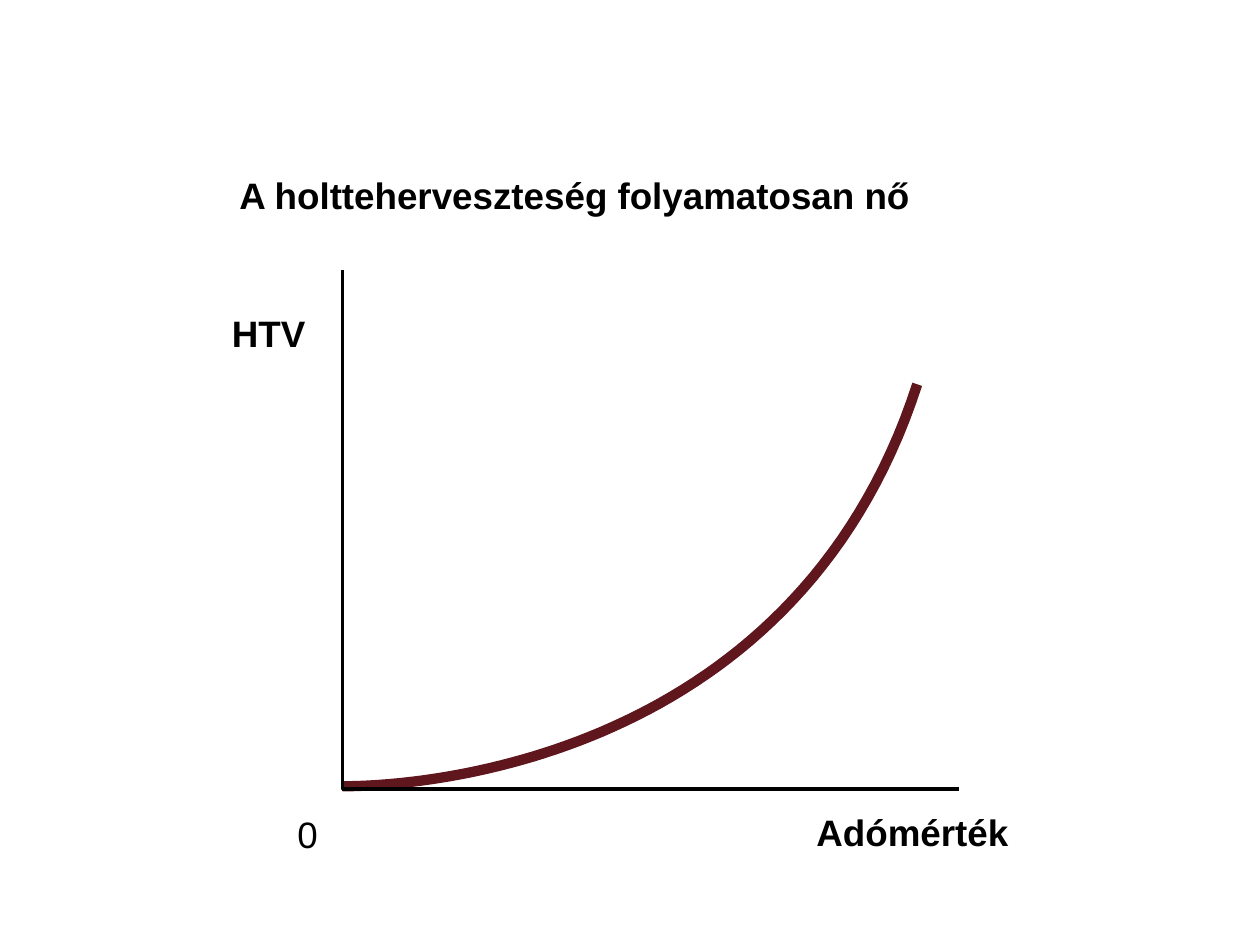
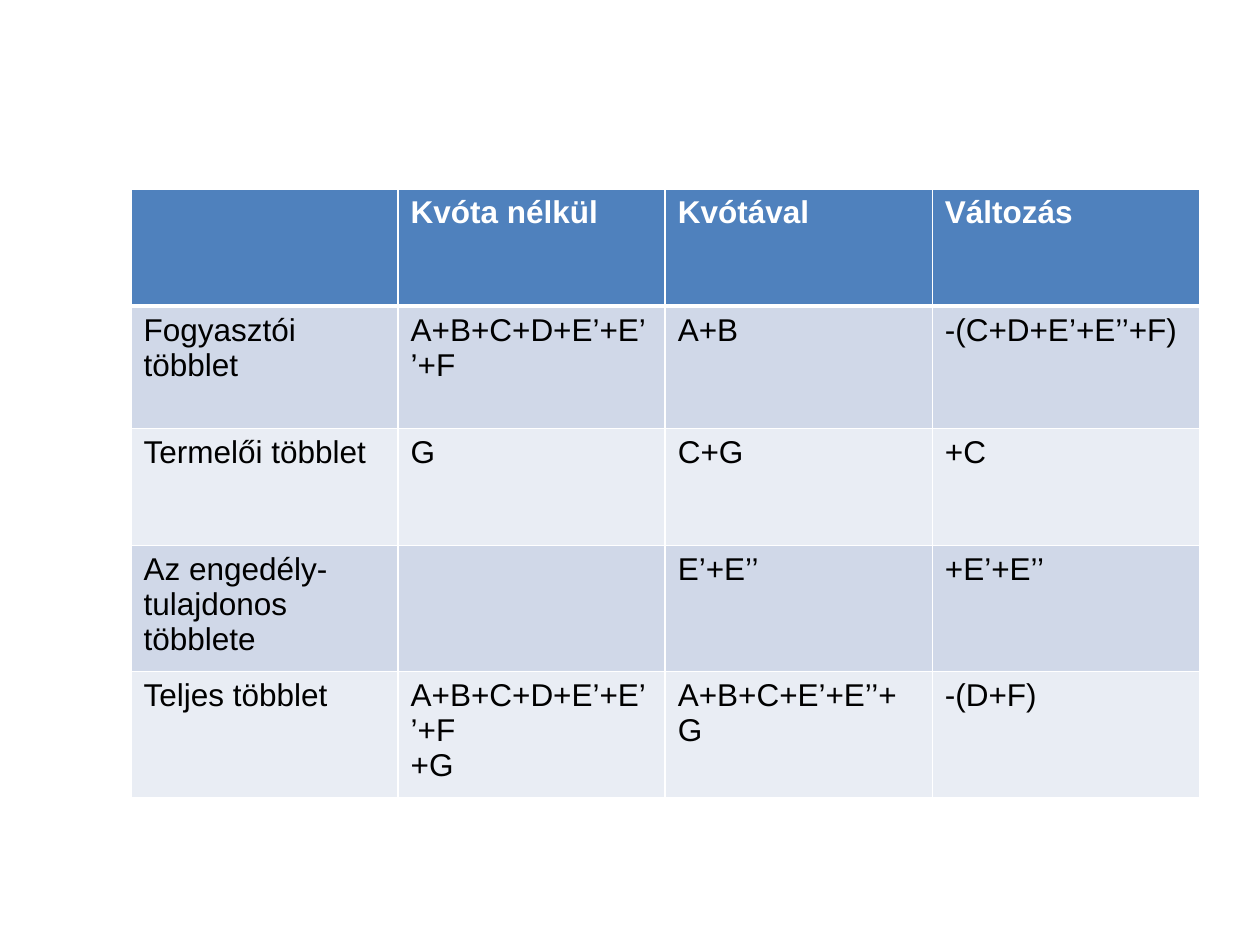
from dataclasses import dataclass

from lxml import etree
from pptx import Presentation
from pptx import util as u
from pptx.dml.color import RGBColor
from pptx.enum import text
from pptx.oxml import ns

PX = 9144

BLACK = RGBColor(0x00, 0x00, 0x00)
WHITE = RGBColor(0xFF, 0xFF, 0xFF)
MAROON = RGBColor(0x5F, 0x16, 0x1D)
HEADER_BLUE = RGBColor(0x4F, 0x81, 0xBD)
BANDS = (RGBColor(0xE9, 0xED, 0xF4), RGBColor(0xD0, 0xD8, 0xE8))

LABEL_FONT = {"name": "Arial", "size": u.Pt(21), "bold": True}
CELL_FONT = {"name": "Arial", "size": u.Pt(18), "bold": False}
LABEL_FRAME = {
    "margin_left": 0, "margin_top": 0, "margin_right": 0, "margin_bottom": 0,
    "word_wrap": False,
    "auto_size": text.MSO_AUTO_SIZE.SHAPE_TO_FIT_TEXT,
    "vertical_anchor": text.MSO_ANCHOR.TOP,
}


@dataclass(frozen=True)
class Label:
    words: str
    left: int
    top: int
    width: int
    bold: bool = True
    height: int = 35


@dataclass(frozen=True)
class Stroke:
    points: list
    color: RGBColor
    weight: float


HEADING = Label("A holtteherveszteség folyamatosan nő", 190, 137, 537)
AXIS_LABELS = (
    Label("HTV", 184, 247, 59),
    Label("0", 236, 644, 16, bold=False),
    Label("Adómérték", 648, 643, 154),
)

SURPLUS_ROWS = (
    ("", "Kvóta nélkül", "Kvótával", "Változás"),
    ("Fogyasztói többlet", "A+B+C+D+E’+E’’+F", "A+B", "-(C+D+E’+E’’+F)"),
    ("Termelői többlet", "G", "C+G", "+C"),
    ("Az engedély-\ntulajdonos többlete", "", "E’+E’’", "+E’+E’’"),
    ("Teljes többlet", "A+B+C+D+E’+E’’+F\n+G", "A+B+C+E’+E’’+G", "-(D+F)"),
)
ROW_HEIGHTS = (93, 97, 93, 100, 96)
COLUMN_WIDTH = 212


def px(length: float) -> int:
    return round(length * PX)


def apply_format(target, values: dict) -> None:
    for name, value in values.items():
        setattr(target, name, value)


def format_text(frame, font: dict, color: RGBColor) -> None:
    for para in frame.paragraphs:
        para.alignment = text.PP_ALIGN.LEFT
        apply_format(para.font, font)
        para.font.color.rgb = color


def fill_label(box, label: Label) -> None:
    apply_format(box, {
        "left": px(label.left), "top": px(label.top),
        "width": px(label.width), "height": px(label.height),
    })
    box.text_frame.text = label.words
    apply_format(box.text_frame, LABEL_FRAME)
    format_text(box.text_frame, {**LABEL_FONT, "bold": label.bold}, BLACK)


def cubic_curve(start, pull_start, pull_end, end, steps: int = 60) -> list:
    points = []
    for step in range(steps + 1):
        t = step / steps
        weights = ((1 - t) ** 3, 3 * t * (1 - t) ** 2, 3 * t * t * (1 - t), t ** 3)
        corners = (start, pull_start, pull_end, end)
        points.append(tuple(
            sum(w * corner[axis] for w, corner in zip(weights, corners))
            for axis in (0, 1)
        ))
    return points


def draw_stroke(page, stroke: Stroke) -> None:
    first, *rest = [(px(x), px(y)) for x, y in stroke.points]
    builder = page.shapes.build_freeform(*first)
    builder.add_line_segments(rest, close=False)
    shape = builder.convert_to_shape()
    shape.shadow.inherit = False
    shape.fill.background()
    shape.line.color.rgb = stroke.color
    shape.line.width = u.Pt(stroke.weight)


def set_borders(cell, weights: dict) -> None:
    properties = cell._tc.get_or_add_tcPr()
    for side, weight in weights.items():
        line = etree.SubElement(properties, ns.qn(f"a:ln{side}"), w=str(u.Pt(weight)))
        fill = etree.SubElement(line, ns.qn("a:solidFill"))
        etree.SubElement(fill, ns.qn("a:srgbClr"), val=str(WHITE))


def draw_loss_page(deck) -> None:
    page = deck.slides.add_slide(deck.slide_layouts[5])
    fill_label(page.shapes.title, HEADING)
    loss_curve = cubic_curve((272, 624), (354, 624), (635, 593), (728, 305))
    draw_stroke(page, Stroke(loss_curve, MAROON, 5.88))
    draw_stroke(page, Stroke([(272, 214), (272, 626), (761, 626)], BLACK, 2))
    for label in AXIS_LABELS:
        fill_label(page.shapes.add_textbox(0, 0, 0, 0), label)


def draw_surplus_page(deck) -> None:
    page = deck.slides.add_slide(deck.slide_layouts[6])
    column_count = len(SURPLUS_ROWS[0])
    table = page.shapes.add_table(
        len(SURPLUS_ROWS), column_count, px(104), px(150),
        px(COLUMN_WIDTH * column_count), px(sum(ROW_HEIGHTS)),
    ).table
    for column in table.columns:
        column.width = px(COLUMN_WIDTH)
    for row_index, (words_row, height) in enumerate(zip(SURPLUS_ROWS, ROW_HEIGHTS)):
        table.rows[row_index].height = px(height)
        is_header = row_index == 0
        borders = {"L": 1, "R": 1, "T": 3 if row_index == 1 else 1, "B": 3 if is_header else 1}
        for column_index, words in enumerate(words_row):
            cell = table.cell(row_index, column_index)
            cell.text = words
            set_borders(cell, borders)
            cell.fill.solid()
            cell.fill.fore_color.rgb = HEADER_BLUE if is_header else BANDS[row_index % 2]
            format_text(cell.text_frame, {**CELL_FONT, "bold": is_header},
                        WHITE if is_header else BLACK)


def main() -> None:
    deck = Presentation()
    deck.slide_width, deck.slide_height = px(1000), px(750)
    draw_loss_page(deck)
    draw_surplus_page(deck)
    deck.save("out.pptx")


if __name__ == "__main__":
    main()
